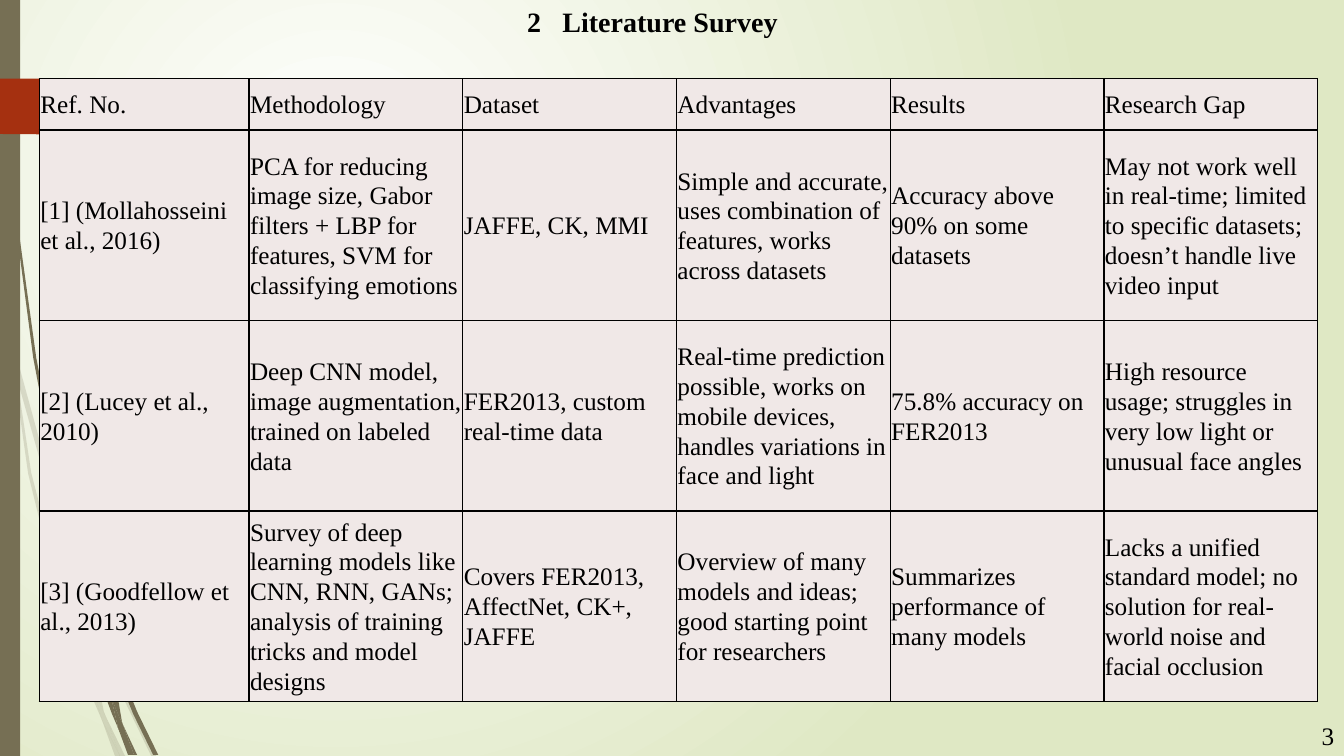
import dataclasses
from typing import Optional

import lxml.etree
import pptx
import pptx.dml.color
import pptx.dml.fill
import pptx.enum.shapes
import pptx.enum.text
import pptx.oxml
import pptx.oxml.ns
import pptx.shapes.autoshape
import pptx.slide
import pptx.table
import pptx.text.text
import pptx.util

Inches = pptx.util.Inches
Pt = pptx.util.Pt
qn = pptx.oxml.ns.qn
Points = list[tuple[int, int]]

FONT = "Times New Roman"
OLIVE, RUST, BLACK, CELL = "766F54", "A53010", "000000", "F0E8E7"
UNITS_PER_INCH = 100


@dataclasses.dataclass
class Foliage:
    color: str
    opacity: Optional[int]
    outlines: list[Points]


@dataclasses.dataclass
class Label:
    text: str
    left: float
    top: float
    width: float
    height: float
    size: int
    bold: bool = False
    wrap: bool = True
    margin: float = 0
    indent: float = 0


PALE_STEMS = Foliage(OLIVE, 20, [
    [(11, 350), (9, 322), (0, 282), (0, 299), (10, 344)],
    [(58, 522), (84, 599), (85, 586), (62, 520), (14, 345), (17, 376)],
    [(92, 607), (88, 596), (88, 610), (123, 694), (150, 750), (155, 750), (127, 692)],
    [(119, 750), (124, 750), (105, 711)],
    [(93, 683), (70, 619), (31, 469), (17, 376), (11, 350), (28, 470), (65, 621),
     (92, 693), (101, 714), (99, 707)],
    [(84, 599), (87, 646), (93, 683), (96, 692), (105, 711), (103, 706), (91, 646),
     (88, 610), (88, 608)],
    [(88, 584), (110, 462), (160, 349), (229, 245), (268, 198), (290, 175), (312, 154),
     (312, 153), (289, 175), (268, 197), (228, 244), (158, 348), (107, 461), (85, 584),
     (85, 586), (88, 596)],
    [(101, 714), (114, 750), (119, 750)],
    [(88, 608), (88, 610), (88, 596), (85, 586), (84, 599)],
    [(96, 692), (93, 683), (99, 707), (101, 714), (119, 750), (105, 711)],
])

DARK_STEMS = Foliage(OLIVE, None, [
    [(7, 110), (17, 233), (33, 355), (56, 477), (57, 481), (55, 457), (55, 453),
     (36, 355), (19, 232), (8, 109), (5, 48), (4, 0), (3, 0), (4, 48)],
    [(88, 592), (106, 645), (106, 633), (106, 631), (93, 590), (60, 472), (64, 505)],
    [(113, 649), (110, 641), (111, 656), (132, 708), (152, 749), (157, 749), (136, 706)],
    [(110, 691), (98, 657), (72, 556), (64, 505), (57, 477), (68, 557), (93, 659),
     (111, 708), (117, 722), (116, 717)],
    [(60, 472), (58, 453), (54, 349), (58, 245), (63, 193), (70, 141), (62, 193),
     (56, 245), (52, 349), (55, 449)],
    [(133, 749), (136, 749), (122, 719)],
    [(57, 477), (64, 505), (60, 472), (55, 449), (55, 453)],
    [(111, 633), (125, 552), (158, 476), (205, 406), (231, 374), (245, 359), (261, 344),
     (260, 344), (245, 358), (231, 373), (204, 405), (156, 474), (122, 551), (106, 631),
     (110, 641)],
    [(117, 722), (127, 749), (131, 749)],
    [(106, 645), (110, 691), (116, 706), (122, 719), (121, 716), (111, 656), (109, 651)],
    [(106, 645), (109, 651), (111, 656), (110, 641), (106, 631), (106, 633)],
    [(116, 706), (110, 691), (116, 717), (117, 722), (130, 749), (133, 749), (122, 719)],
])

PAGE_ARROW = Foliage(RUST, None, [
    [(173, 108), (148, 133), (146, 134), (136, 134), (0, 133), (0, 78), (136, 78),
     (146, 78), (148, 79), (173, 104), (174, 106)],
])

SURVEY = [
    ["Ref. No.", "Methodology", "Dataset", "Advantages", "Results", "Research Gap"],
    ["[1] (Mollahosseini et al., 2016)",
     "PCA for reducing image size, Gabor filters + LBP for features, SVM for classifying emotions",
     "JAFFE, CK, MMI",
     "Simple and accurate, uses combination of features, works across datasets",
     "Accuracy above 90% on some datasets",
     "May not work well in real-time; limited to specific datasets; doesn’t handle live video input"],
    ["[2] (Lucey et al., 2010)",
     "Deep CNN model, image augmentation, trained on labeled data",
     "FER2013, custom real-time data",
     "Real-time prediction possible, works on mobile devices, handles variations in face and light",
     "75.8% accuracy on FER2013",
     "High resource usage; struggles in very low light or unusual face angles"],
    ["[3] (Goodfellow et al., 2013)",
     "Survey of deep learning models like CNN, RNN, GANs; analysis of training tricks and model designs",
     "Covers FER2013, AffectNet, CK+, JAFFE",
     "Overview of many models and ideas; good starting point for researchers",
     "Summarizes performance of many models",
     "Lacks a unified standard model; no solution for real-world noise and facial occlusion"],
]
COLUMN_WIDTHS = [2.08] + [2.12] * 5
ROW_HEIGHTS = [0.51] + [1.89] * 3

LABELS = [
    Label("2\tLiterature Survey", 3.32, 0, 6.57, 0.44, 20, bold=True, margin=2.16, indent=-0.35),
    Label("3", 13.01, 7.1, 0.32, 0.4, 18, wrap=False),
]


def rgb(value: str) -> pptx.dml.color.RGBColor:
    return pptx.dml.color.RGBColor.from_string(value)


def paint(fill: pptx.dml.fill.FillFormat, color: str) -> None:
    fill.solid()
    fill.fore_color.rgb = rgb(color)


def paint_background(slide: pptx.slide.Slide) -> None:
    fill = slide.background.fill
    fill.gradient()
    for stop, position, color in zip(fill.gradient_stops, (0, 1), ("FFFFFF", "DFE8C4")):
        stop.position = position
        stop.color.rgb = rgb(color)
    linear = slide.element.find(".//" + qn("a:lin"))
    gradient = linear.getparent()
    gradient.remove(linear)
    glow = lxml.etree.SubElement(gradient, qn("a:path"), path="circle")
    lxml.etree.SubElement(glow, qn("a:fillToRect"), l="50000", t="50000", r="100000", b="100000")


def finish_shape(shape: pptx.shapes.autoshape.Shape, color: str) -> None:
    shape.shadow.inherit = False
    paint(shape.fill, color)
    shape.line.fill.background()


def draw_foliage(slide: pptx.slide.Slide, foliage: Foliage) -> None:
    for start, *rest in foliage.outlines:
        builder = slide.shapes.build_freeform(*start, scale=Inches(1) / UNITS_PER_INCH)
        builder.add_line_segments(rest, close=True)
        stem = builder.convert_to_shape()
        finish_shape(stem, foliage.color)
        if foliage.opacity is not None:
            tint = stem.element.spPr.find(qn("a:solidFill"))[0]
            lxml.etree.SubElement(tint, qn("a:alpha"), val=str(foliage.opacity * 1000))


def format_run(paragraph: pptx.text.text._Paragraph, size: int, bold: bool = False) -> None:
    for run in paragraph.runs:
        run.font.name = FONT
        run.font.size = Pt(size)
        run.font.bold = bold
        run.font.color.rgb = rgb(BLACK)


def fill_cell(cell: pptx.table._Cell, text: str) -> None:
    cell.text_frame.text = text
    cell.vertical_anchor = pptx.enum.text.MSO_ANCHOR.MIDDLE
    cell.margin_left = cell.margin_right = cell.margin_top = cell.margin_bottom = Inches(0.01)
    paragraph = cell.text_frame.paragraphs[0]
    paragraph.line_spacing = 1.07
    paragraph.space_after = Pt(8)
    format_run(paragraph, 18)
    properties = cell._tc.get_or_add_tcPr()
    for side in ("a:lnL", "a:lnR", "a:lnT", "a:lnB"):
        border = lxml.etree.SubElement(properties, qn(side), w=str(Pt(1)))
        ink = lxml.etree.SubElement(border, qn("a:solidFill"))
        lxml.etree.SubElement(ink, qn("a:srgbClr"), val=BLACK)
    paint(cell.fill, CELL)


def draw_survey(slide: pptx.slide.Slide) -> None:
    survey = slide.shapes.add_table(
        len(ROW_HEIGHTS), len(COLUMN_WIDTHS), Inches(0.39), Inches(0.78),
        Inches(sum(COLUMN_WIDTHS)), Inches(sum(ROW_HEIGHTS))).table
    survey.first_row = survey.horz_banding = False
    for column, width in zip(survey.columns, COLUMN_WIDTHS):
        column.width = Inches(width)
    for row, height, entries in zip(survey.rows, ROW_HEIGHTS, SURVEY):
        row.height = Inches(height)
        for cell, text in zip(row.cells, entries):
            fill_cell(cell, text)


def draw_label(slide: pptx.slide.Slide, label: Label) -> None:
    frame = slide.shapes.add_textbox(
        Inches(label.left), Inches(label.top), Inches(label.width), Inches(label.height)).text_frame
    frame.word_wrap = label.wrap
    frame.text = label.text
    paragraph = frame.paragraphs[0]
    format_run(paragraph, label.size, label.bold)
    if label.margin:
        properties = paragraph._p.get_or_add_pPr()
        properties.set("marL", str(Inches(label.margin)))
        properties.set("indent", str(Inches(label.indent)))


def main() -> None:
    deck = pptx.Presentation()
    deck.slide_width, deck.slide_height = Inches(13.33), Inches(7.5)
    slide = deck.slides.add_slide(deck.slide_layouts[6])
    paint_background(slide)
    draw_foliage(slide, PALE_STEMS)
    draw_foliage(slide, DARK_STEMS)
    side_band = slide.shapes.add_shape(
        pptx.enum.shapes.MSO_SHAPE.RECTANGLE, 0, 0, Inches(0.2), Inches(7.5))
    finish_shape(side_band, OLIVE)
    draw_foliage(slide, PAGE_ARROW)
    draw_survey(slide)
    for label in LABELS:
        draw_label(slide, label)
    deck.save("out.pptx")


if __name__ == "__main__":
    main()
